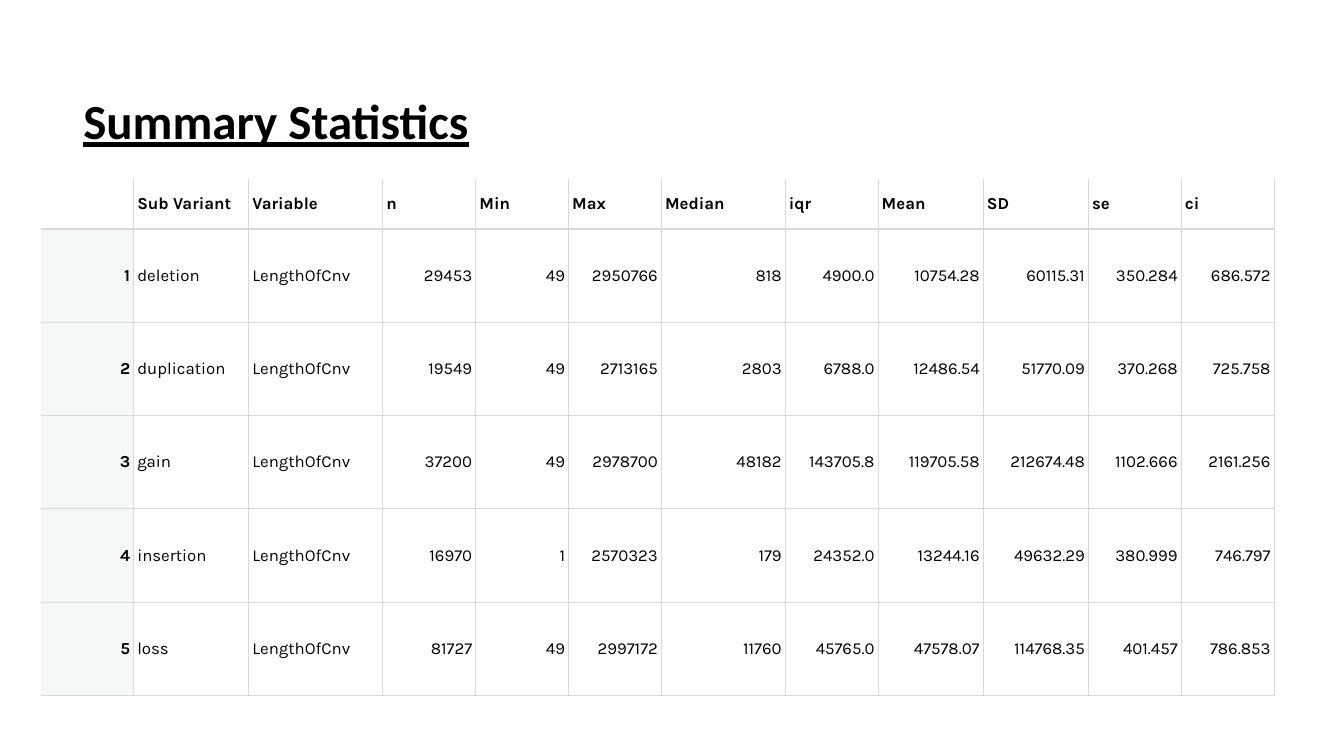
"""Build the Summary Statistics slide with its table of copy-number variants."""
from lxml import etree
from pptx import Presentation
from pptx.dml.color import RGBColor
from pptx.enum.text import MSO_ANCHOR, MSO_AUTO_SIZE, PP_ALIGN
from pptx.oxml.ns import qn
from pptx.util import Cm, Pt

MIDDLE = MSO_ANCHOR.MIDDLE
GROW = MSO_AUTO_SIZE.SHAPE_TO_FIT_TEXT
LEFT, RIGHT = PP_ALIGN.LEFT, PP_ALIGN.RIGHT
BLACK, GRID, INDEX_FILL = "000000", "D6DADC", "F4F8F9"
PADDING = Cm(0.09)

HEADER = ["", "Sub Variant", "Variable", "n", "Min", "Max", "Median",
          "iqr", "Mean", "SD", "se", "ci"]
STATISTICS = [
    ["1", "deletion", "LengthOfCnv", "29453", "49", "2950766", "818",
     "4900.0", "10754.28", "60115.31", "350.284", "686.572"],
    ["2", "duplication", "LengthOfCnv", "19549", "49", "2713165", "2803",
     "6788.0", "12486.54", "51770.09", "370.268", "725.758"],
    ["3", "gain", "LengthOfCnv", "37200", "49", "2978700", "48182",
     "143705.8", "119705.58", "212674.48", "1102.666", "2161.256"],
    ["4", "insertion", "LengthOfCnv", "16970", "1", "2570323", "179",
     "24352.0", "13244.16", "49632.29", "380.999", "746.797"],
    ["5", "loss", "LengthOfCnv", "81727", "49", "2997172", "11760",
     "45765.0", "47578.07", "114768.35", "401.457", "786.853"],
]
COLUMN_WIDTHS = [2.34, 2.9, 3.38, 2.34, 2.34, 2.34, 3.12, 2.34, 2.65, 2.65, 2.34, 2.34]
ROW_HEIGHTS = [1.27] + [2.35] * len(STATISTICS)


def style_font(font, name, size, bold):
    font.name, font.size, font.bold = name, Pt(size), bold
    font.color.rgb = RGBColor.from_string(BLACK)


def set_borders(cell, widths):
    properties = cell._tc.get_or_add_tcPr()
    for position, (side, width) in enumerate(widths.items()):
        line = etree.Element(qn(f"a:ln{side}"), w=str(Pt(width)))
        if width:
            fill = etree.SubElement(line, qn("a:solidFill"))
            etree.SubElement(fill, qn("a:srgbClr"), val=GRID)
        else:
            etree.SubElement(line, qn("a:noFill"))
        properties.insert(position, line)


deck = Presentation()
deck.slide_width, deck.slide_height = Cm(33.87), Cm(19.05)
page = deck.slides.add_slide(deck.slide_layouts[6])

rows = [HEADER] + STATISTICS
frame = page.shapes.add_table(len(rows), len(HEADER), Cm(1.03), Cm(4.5),
                              Cm(sum(COLUMN_WIDTHS)), Cm(sum(ROW_HEIGHTS)))
table = frame.table
table.first_row = table.horz_banding = False
for column, width in zip(table.columns, COLUMN_WIDTHS):
    column.width = Cm(width)
for row, height in zip(table.rows, ROW_HEIGHTS):
    row.height = Cm(height)

for row_number, values in enumerate(rows):
    for column_number, value in enumerate(values):
        cell = table.cell(row_number, column_number)
        is_header, is_index = row_number == 0, column_number == 0
        cell.vertical_anchor = MIDDLE
        cell.margin_left = cell.margin_right = PADDING
        cell.margin_top = cell.margin_bottom = PADDING
        if is_index and not is_header:
            cell.fill.solid()
            cell.fill.fore_color.rgb = RGBColor.from_string(INDEX_FILL)
        else:
            cell.fill.background()
        set_borders(cell, {
            "L": 0 if is_index else 0.75,
            "R": 0.75,
            "T": {0: 0, 1: 1}.get(row_number, 0.75),
            "B": 1 if is_header else 0.75,
        })
        cell.text_frame.text = value
        para = cell.text_frame.paragraphs[0]
        is_label = is_header or column_number in (1, 2)
        para.alignment = LEFT if is_label else RIGHT
        style_font(para.font, "Karla", 12, is_header or is_index)
        for span in para.runs:
            style_font(span.font, "Karla", 12, is_header or is_index)

title = page.shapes.add_textbox(Cm(1.85), Cm(2.16), Cm(13.16), Cm(1.75))
title.text_frame.word_wrap = True
title.text_frame.auto_size = GROW
title.text_frame.text = "Summary Statistics"
title_span = title.text_frame.paragraphs[0].runs[0]
style_font(title_span.font, "Calibri", 35, True)
title_span.font.underline = True

deck.save("out.pptx")
